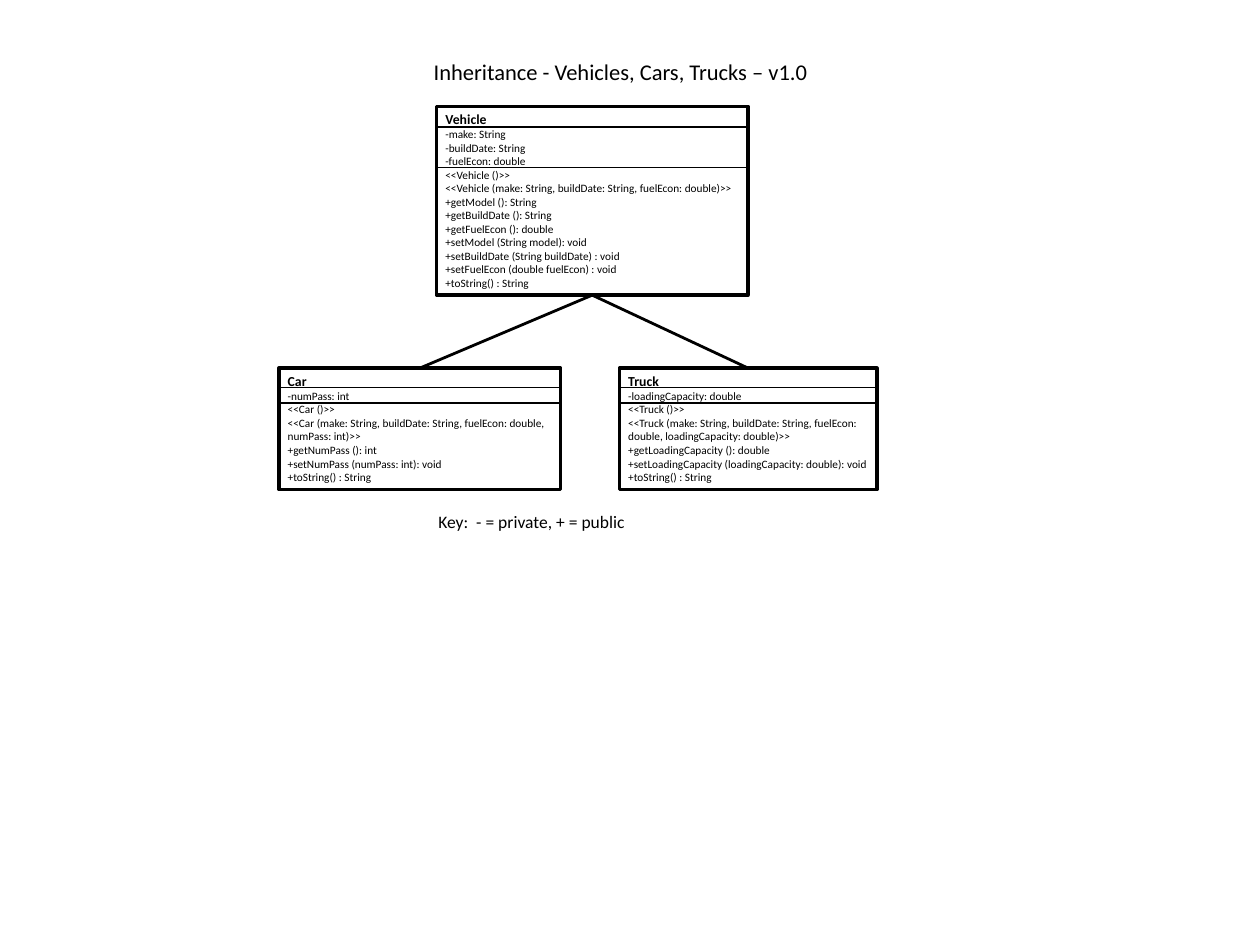
from pptx import Presentation
from pptx.dml.color import RGBColor
from pptx.enum.shapes import MSO_CONNECTOR, MSO_SHAPE
from pptx.enum.text import MSO_ANCHOR, MSO_AUTO_SIZE, PP_ALIGN
from pptx.oxml.ns import qn
from pptx.util import Cm, Pt
from lxml import etree

RECT = MSO_SHAPE.RECTANGLE
STRAIGHT = MSO_CONNECTOR.STRAIGHT
TOP = MSO_ANCHOR.TOP
LEFT = PP_ALIGN.LEFT
GROW = MSO_AUTO_SIZE.SHAPE_TO_FIT_TEXT

FONT = "Calibri"
COLORS = {"ink": "000000"}
INK = RGBColor.from_string(COLORS["ink"])
TOP_SITE, BOTTOM_SITE = 0, 2

# Class boxes: position and size, divider offsets from the top, text lines (cm)
CLASSES = {
    "Vehicle": ((12.32, 3.0, 8.79, 5.33), (0.58, 1.73), [
        "-make: String",
        "-buildDate: String",
        "-fuelEcon: double",
        "<<Vehicle ()>>",
        "<<Vehicle (make: String, buildDate: String, fuelEcon: double)>>",
        "+getModel (): String",
        "+getBuildDate (): String",
        "+getFuelEcon (): double",
        "+setModel (String model): void",
        "+setBuildDate (String buildDate) : void",
        "+setFuelEcon (double fuelEcon) : void",
        "+toString() : String",
    ]),
    "Car": ((7.87, 10.39, 7.95, 3.43), (0.55, 0.99), [
        "-numPass: int",
        "<<Car ()>>",
        "<<Car (make: String, buildDate: String, fuelEcon: double, numPass: int)>>",
        "+getNumPass (): int",
        "+setNumPass (numPass: int): void",
        "+toString() : String",
    ]),
    "Truck": ((17.48, 10.39, 7.27, 3.43), (0.55, 0.99), [
        "-loadingCapacity: double",
        "<<Truck ()>>",
        "<<Truck (make: String, buildDate: String, fuelEcon: double, loadingCapacity: double)>>",
        "+getLoadingCapacity (): double",
        "+setLoadingCapacity (loadingCapacity: double): void",
        "+toString() : String",
    ]),
}


def write_line(p, text, size, bold=False):
    p.text = text
    p.alignment = LEFT
    p.font.name = FONT
    p.font.size = Pt(size)
    p.font.bold = bold
    p.font.color.rgb = INK


def add_label(slide, x, y, w, h, text, size):
    tf = slide.shapes.add_textbox(Cm(x), Cm(y), Cm(w), Cm(h)).text_frame
    tf.word_wrap = False
    tf.auto_size = GROW
    write_line(tf.paragraphs[0], text, size)


def add_line(slide, x1, y1, x2, y2, width):
    line = slide.shapes.add_connector(STRAIGHT, x1, y1, x2, y2)
    line.line.color.rgb = INK
    line.line.width = Pt(width)
    etree.SubElement(line._element.spPr, qn("a:effectLst"))
    return line


def add_class(slide, name, box, dividers, members):
    sp = slide.shapes.add_shape(RECT, *map(Cm, box))
    sp.shadow.inherit = False
    sp.fill.background()
    sp.line.color.rgb = INK
    sp.line.width = Pt(2.75)
    tf = sp.text_frame
    tf.word_wrap = True
    tf.auto_size = GROW
    tf.vertical_anchor = TOP
    write_line(tf.paragraphs[0], name, 11, bold=True)
    for member in members:
        write_line(tf.add_paragraph(), member, 9)
    # Dividers between name, fields and methods
    for offset in dividers:
        y = sp.top + Cm(offset)
        add_line(slide, sp.left, y, sp.left + sp.width, y, 1.25)
    return sp


def add_inheritance(slide, parent, child):
    line = add_line(slide, 0, 0, 0, 0, 2.25)
    line.begin_connect(parent, BOTTOM_SITE)
    line.end_connect(child, TOP_SITE)


def main():
    prs = Presentation()
    prs.slide_width, prs.slide_height = Cm(35.56), Cm(26.67)
    slide = prs.slides.add_slide(prs.slide_layouts[6])

    # Title
    add_label(slide, 11.99, 1.52, 11.18, 1.02,
              "Inheritance - Vehicles, Cars, Trucks – v1.0", 18)

    # Classes and their relations
    boxes = {name: add_class(slide, name, *parts)
             for name, parts in CLASSES.items()}
    for child in ("Truck", "Car"):
        add_inheritance(slide, boxes["Vehicle"], boxes[child])

    # Key
    add_label(slide, 12.12, 14.3, 5.82, 0.86, "Key:  - = private, + = public", 14)

    prs.save("out.pptx")


main()
